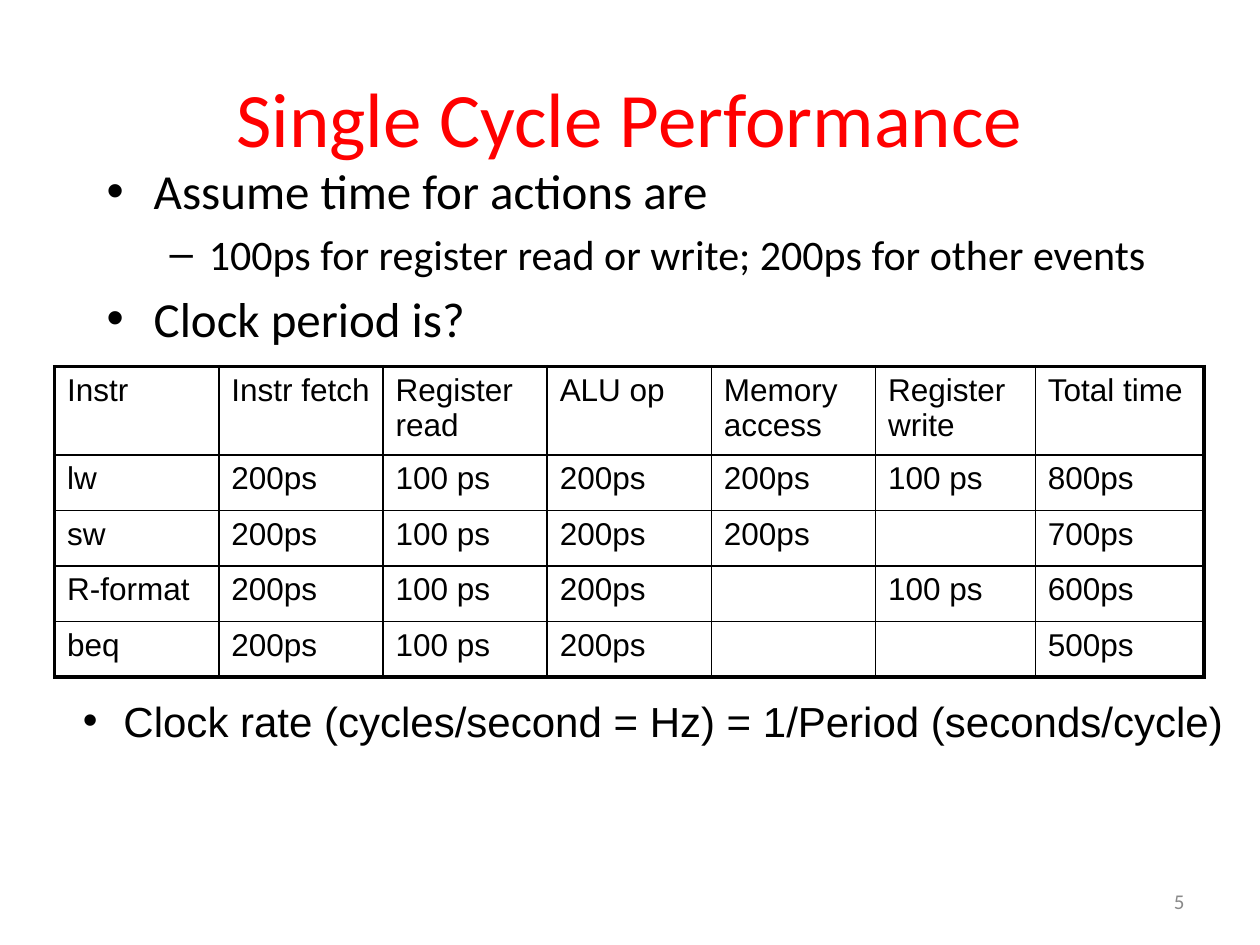
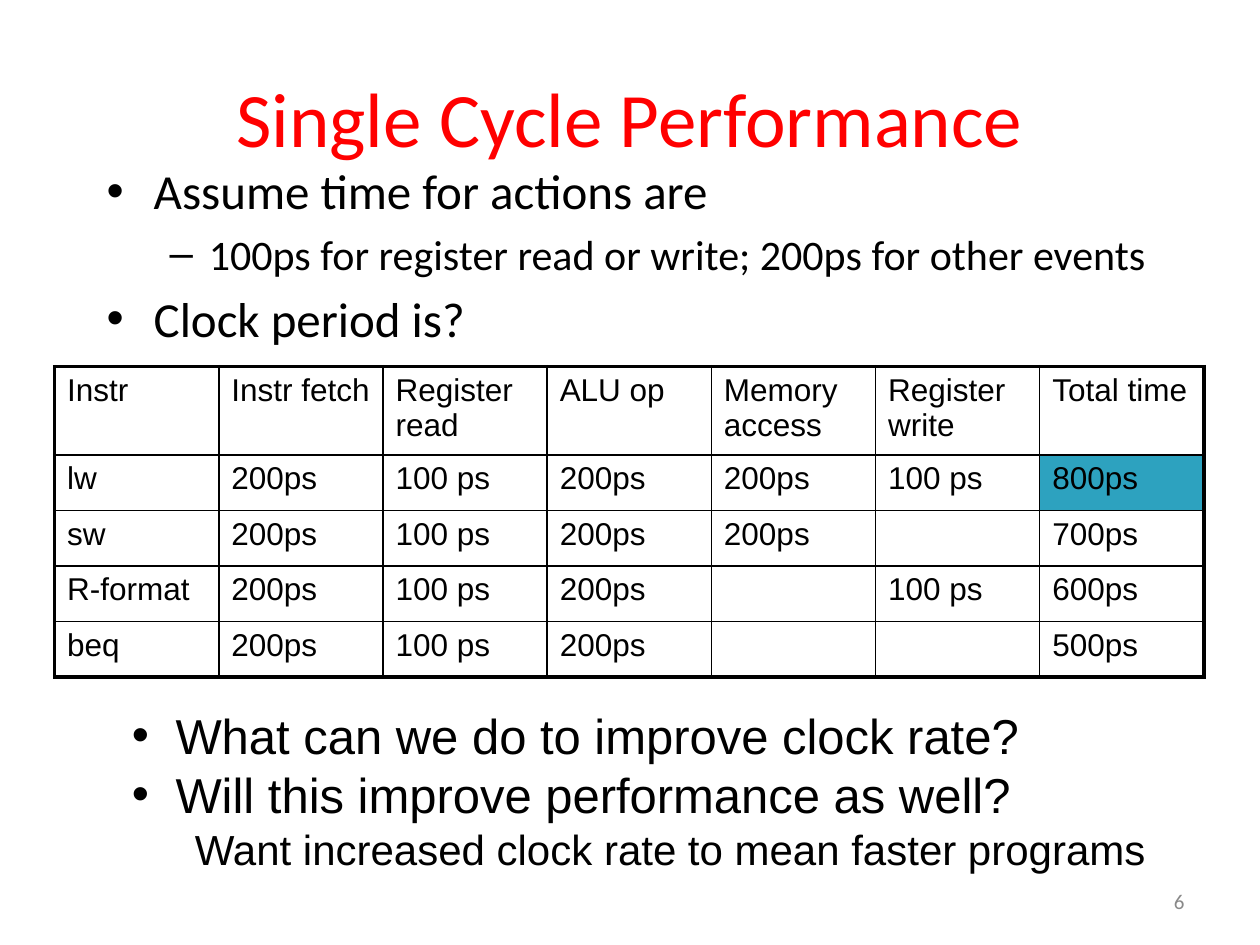
from pptx import Presentation
from pptx import util as u
from pptx.dml.color import RGBColor
from pptx.enum import text
from pptx.oxml import parse_xml
from pptx.oxml.ns import nsdecls

COLORS = {"title": "FF0000", "ink": "000000", "number": "898989", "highlight": "2DA2BF"}
HEADING, DATA = "Calibri", "Arial"
TIMES = [
    ["Instr", "Instr fetch", "Register read", "ALU op", "Memory access", "Register write", "Total time"],
    ["lw", "200ps", "100 ps", "200ps", "200ps", "100 ps", "800ps"],
    ["sw", "200ps", "100 ps", "200ps", "200ps", "", "700ps"],
    ["R-format", "200ps", "100 ps", "200ps", "", "100 ps", "600ps"],
    ["beq", "200ps", "100 ps", "200ps", "", "", "500ps"],
]
ASSUMPTIONS = [
    ("Assume time for actions are", dict(size=28, bullet="•", margin=0.95, hang=0.95)),
    ("100ps for register read or write; 200ps for other events",
     dict(size=24, bullet="–", margin=2.06, hang=0.79, level=1, before=4.8)),
    ("Clock period is?", dict(size=28, bullet="•", margin=0.95, hang=0.95, before=5.6)),
]
QUESTION = dict(size=28, font=DATA, bullet="•", margin=0.88, hang=0.88)
SLIDES = [
    dict(number="5", last_columns=(3.22, 3.4), highlighted=None, conclusion_place=(1.42, 13.89, 23.98, 4.95),
         conclusions=[("Clock rate (cycles/second = Hz) = 1/Period (seconds/cycle)",
                       dict(size=24, font=DATA, bullet="•", margin=0.82, hang=0.82))]),
    dict(number="6", last_columns=(3.31, 3.31), highlighted=(1, 6), conclusion_place=(2.41, 14.1, 22.99, 4.95),
         conclusions=[("What can we do to improve clock rate?", QUESTION),
                      ("Will this improve performance as well?", QUESTION),
                      ("Want increased clock rate to mean faster programs",
                       dict(size=24, font=DATA, margin=1.27, level=1))]),
]


def write(paragraph, content, size=18, font=HEADING, color="ink", align=text.PP_ALIGN.LEFT,
          bullet=None, margin=0, hang=0, level=0, before=0):
    run = paragraph.add_run()
    run.text = content
    run.font.size = u.Pt(size)
    run.font.name = font
    run.font.color.rgb = RGBColor.from_string(COLORS[color])
    paragraph.alignment = align
    paragraph.level = level
    paragraph.space_before = u.Pt(before)
    properties = paragraph._p.get_or_add_pPr()
    properties.set("marL", str(u.Cm(margin)))
    properties.set("indent", str(-u.Cm(hang)))
    if bullet:
        properties.append(parse_xml(f'<a:buFont {nsdecls("a")} typeface="Arial"/>'))
        properties.append(parse_xml(f'<a:buChar {nsdecls("a")} char="{bullet}"/>'))


def add_text(slide, place, lines, anchor=text.MSO_ANCHOR.TOP):
    frame = slide.shapes.add_textbox(*map(u.Cm, place)).text_frame
    frame.word_wrap = True
    frame.vertical_anchor = anchor
    for index, (content, style) in enumerate(lines):
        paragraph = frame.add_paragraph() if index else frame.paragraphs[0]
        write(paragraph, content, **style)


presentation = Presentation()
presentation.slide_width = u.Cm(25.4)
presentation.slide_height = u.Cm(19.05)
last_row, last_column = len(TIMES) - 1, len(TIMES[0]) - 1

for page in SLIDES:
    slide = presentation.slides.add_slide(presentation.slide_layouts[5])
    title = slide.shapes.title
    title.left, title.top, title.width, title.height = map(u.Cm, (1.27, 0.76, 22.86, 3.18))
    title.text_frame.vertical_anchor = text.MSO_ANCHOR.MIDDLE
    write(title.text_frame.paragraphs[0], "Single Cycle Performance",
          size=44, color="title", align=text.PP_ALIGN.CENTER)

    add_text(slide, (1.9, 3.12, 22.99, 4.95), ASSUMPTIONS)

    frame = slide.shapes.add_table(len(TIMES), len(TIMES[0]),
                                   *map(u.Cm, (1.1, 7.39, 23.2, 6.18)))
    table = frame.table
    table.first_row = table.horz_banding = False
    for column, width in zip(table.columns, (3.31,) * 5 + page["last_columns"]):
        column.width = u.Cm(width)
    for index, row in enumerate(table.rows):
        row.height = u.Cm(1.12 if index else 1.7)

    for row, values in enumerate(TIMES):
        for column, value in enumerate(values):
            cell = table.cell(row, column)
            if value:
                write(cell.text_frame.paragraphs[0], value, font=DATA)
            if (row, column) == page["highlighted"]:
                cell.fill.solid()
                cell.fill.fore_color.rgb = RGBColor.from_string(COLORS["highlight"])
            else:
                cell.fill.background()
            edges = {
                "lnL": 1 if column else 2.25,
                "lnR": 2.25 if column == last_column else 1,
                "lnT": {0: 2.25, 1: 1.5}.get(row, 1),
                "lnB": {0: 1.5, last_row: 2.25}.get(row, 1),
            }
            for position, (edge, width) in enumerate(edges.items()):
                cell._tc.get_or_add_tcPr().insert(position, parse_xml(
                    f'<a:{edge} {nsdecls("a")} w="{u.Pt(width)}"><a:solidFill>'
                    f'<a:srgbClr val="{COLORS["ink"]}"/></a:solidFill></a:{edge}>'))

    add_text(slide, page["conclusion_place"], page["conclusions"])
    add_text(slide, (18.21, 17.65, 5.92, 1.02),
             [(page["number"], dict(size=12, color="number", align=text.PP_ALIGN.RIGHT))],
             anchor=text.MSO_ANCHOR.MIDDLE)

presentation.save("out.pptx")
